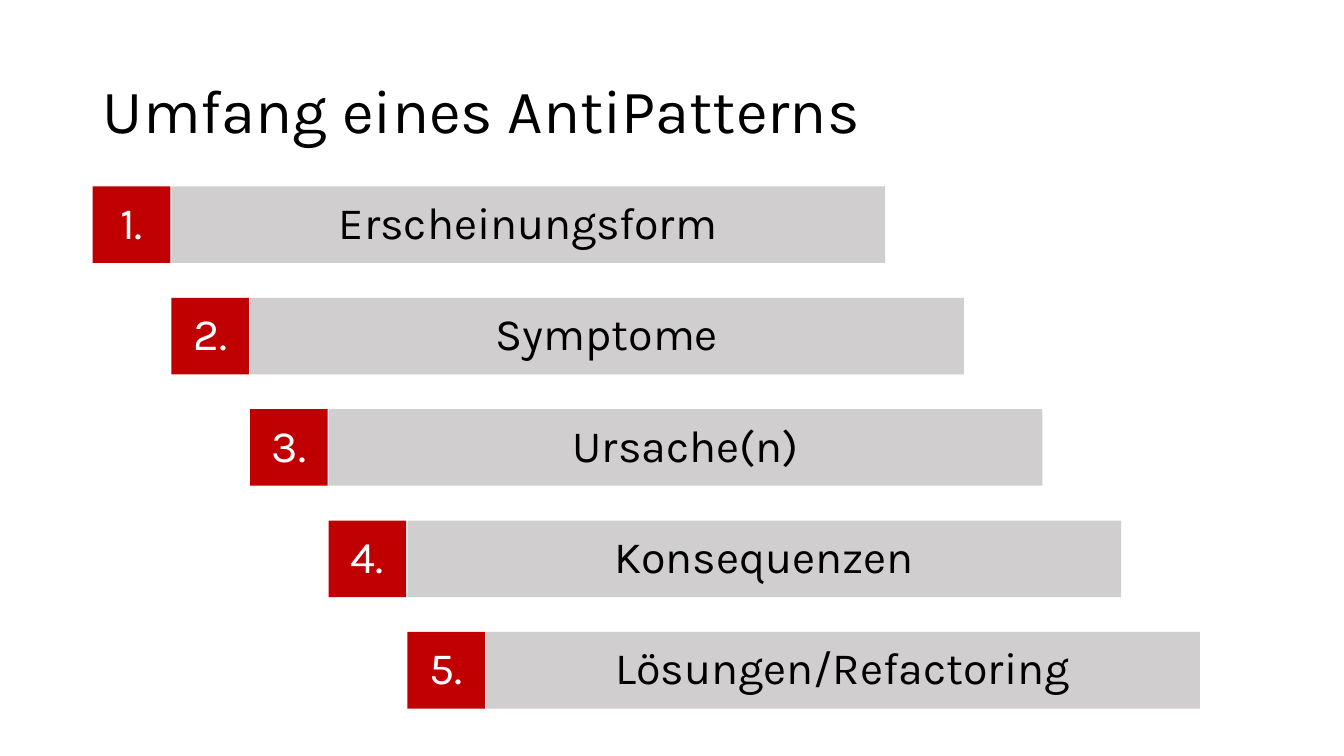
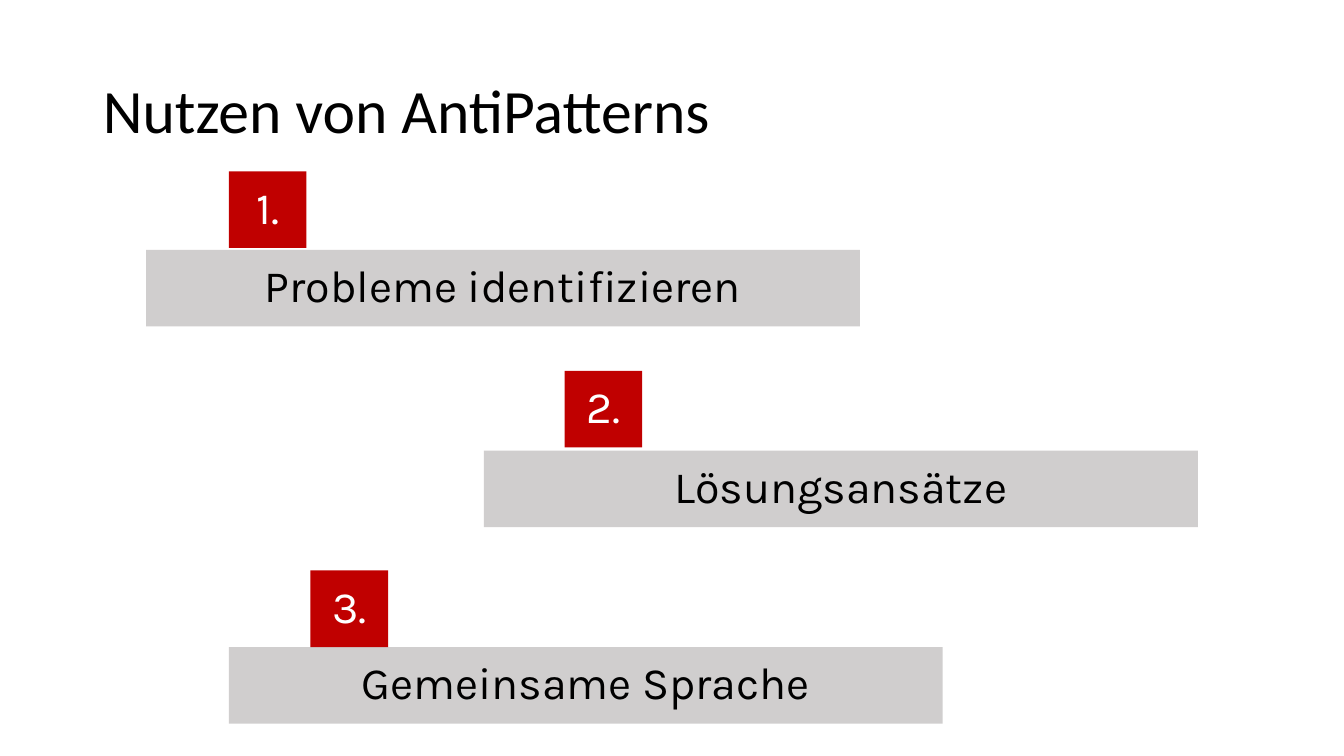
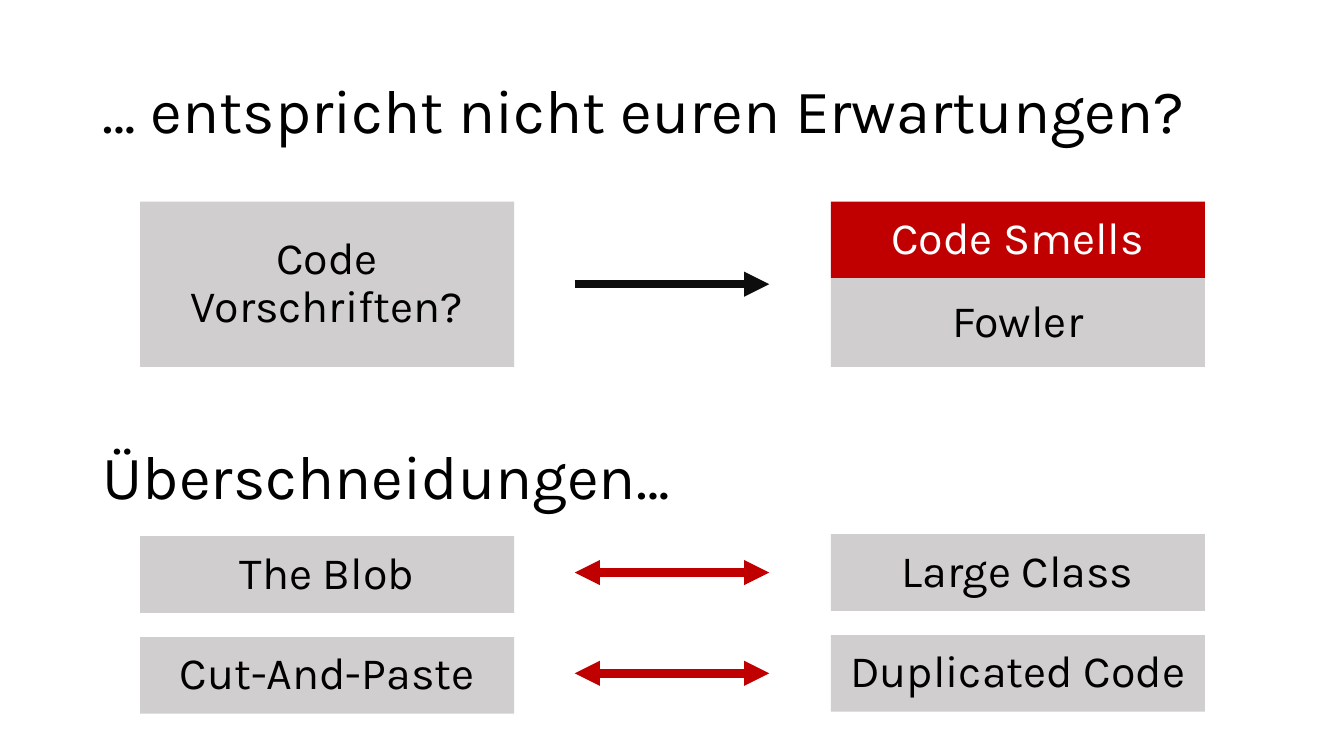
from dataclasses import dataclass

from lxml import etree
from pptx import Presentation
from pptx.dml.color import RGBColor
from pptx.enum.shapes import MSO_CONNECTOR, MSO_SHAPE
from pptx.enum.text import MSO_ANCHOR, MSO_AUTO_SIZE, PP_ALIGN
from pptx.oxml.ns import qn
from pptx.util import Inches, Pt

RECTANGLE = MSO_SHAPE.RECTANGLE
STRAIGHT = MSO_CONNECTOR.STRAIGHT
LEFT, CENTER = PP_ALIGN.LEFT, PP_ALIGN.CENTER
TOP, MIDDLE = MSO_ANCHOR.TOP, MSO_ANCHOR.MIDDLE
NO_AUTOFIT = MSO_AUTO_SIZE.NONE
TITLE_ONLY = 5

SLIDE_WIDTH, SLIDE_HEIGHT = 13.33, 7.5
MARGIN = 0.92
BLACK, NEAR_BLACK, WHITE = "000000", "0D0D0D", "FFFFFF"
RED, GREY = "C00000", "D0CECE"
BODY_FONT, PLAIN_FONT = "Karla", "Calibri"
HEADING_SIZE, LABEL_SIZE = 44, 32

BAR_WIDTH, BAR_HEIGHT = 7.08, 0.76
BADGE_WIDTH = 0.77
STEP_COLUMN, STEP_ROW, STEP_TOP = 0.78, 1.105, 1.85

CARD_WIDTH = 3.71
CARD_COLUMNS = (1.39, 8.24)
ARROW_START, ARROW_END = 5.7, 7.63
CODE_TOP, CODE_HEIGHT = 2, 1.64
OVERLAP_TOP, OVERLAP_ROW = 5.32, 1
RIGHT_CARD_LIFT = 0.02


@dataclass(frozen=True)
class Box:
    left: float
    top: float
    width: float
    height: float

    def lengths(self):
        return [Inches(value) for value in (self.left, self.top, self.width, self.height)]


@dataclass(frozen=True)
class Benefit:
    text: str
    bar_left: float
    bar_top: float
    badge_left: float
    badge_top: float


TITLE_BOX = Box(MARGIN, 0.4, 11.5, 1.45)
SUBHEADING_BOX = Box(MARGIN, 4.3, 8.11, 0.84)

SCOPE_STEPS = ("Erscheinungsform", "Symptome", "Ursache(n)", "Konsequenzen", "Lösungen/Refactoring")
BENEFITS = (
    Benefit("Probleme identifizieren", 1.45, 2.48, 2.27, 1.7),
    Benefit("Lösungsansätze", 4.8, 4.47, 5.6, 3.68),
    Benefit("Gemeinsame Sprache", 2.27, 6.42, 3.08, 5.66),
)
OVERLAPS = (("The Blob", "Large Class"), ("Cut-And-Paste", "Duplicated Code"))


def color(value: str) -> RGBColor:
    return RGBColor.from_string(value)


def write_text(shape, text: str, size: int, text_color: str = BLACK, font: str = BODY_FONT,
               alignment=LEFT, anchor=MIDDLE, line_spacing: float = 0.9, space_before: int = 0) -> None:
    frame = shape.text_frame
    frame.word_wrap = True
    frame.auto_size = NO_AUTOFIT
    frame.vertical_anchor = anchor
    paragraph = frame.paragraphs[0]
    paragraph.alignment = alignment
    paragraph.line_spacing = line_spacing
    paragraph.space_before = Pt(space_before)
    run = paragraph.add_run()
    run.text = text
    run.font.name = font
    run.font.size = Pt(size)
    run.font.color.rgb = color(text_color)


def add_titled_slide(presentation, text: str, font: str = BODY_FONT):
    slide = presentation.slides.add_slide(presentation.slide_layouts[TITLE_ONLY])
    title = slide.shapes.title
    title.left, title.top, title.width, title.height = TITLE_BOX.lengths()
    write_text(title, text, HEADING_SIZE, font=font)
    return slide


def add_label(slide, box: Box, text: str, fill: str = GREY) -> None:
    shape = slide.shapes.add_shape(RECTANGLE, *box.lengths())
    shape.shadow.inherit = False
    shape.fill.solid()
    shape.fill.fore_color.rgb = color(fill)
    shape.line.fill.background()
    text_color = WHITE if fill == RED else BLACK
    write_text(shape, text, LABEL_SIZE, text_color, alignment=CENTER, space_before=10)


def add_bar(slide, left: float, top: float, text: str) -> None:
    add_label(slide, Box(left, top, BAR_WIDTH, BAR_HEIGHT), text)


def add_badge(slide, left: float, top: float, number: int) -> None:
    add_label(slide, Box(left, top, BADGE_WIDTH, BAR_HEIGHT), f"{number}.", RED)


def add_arrow(slide, height: float, line_color: str, ends: tuple[str, ...]) -> None:
    arrow = slide.shapes.add_connector(
        STRAIGHT, Inches(ARROW_START), Inches(height), Inches(ARROW_END), Inches(height))
    arrow.line.color.rgb = color(line_color)
    arrow.line.width = Pt(6)
    properties = arrow.line._get_or_add_ln()
    for end in ends:
        etree.SubElement(properties, qn(end), type="triangle")
    etree.SubElement(arrow._element.spPr, qn("a:effectLst"))


def build_scope(presentation) -> None:
    slide = add_titled_slide(presentation, "Umfang eines AntiPatterns")
    for index, text in enumerate(SCOPE_STEPS):
        left = MARGIN + index * STEP_COLUMN
        top = STEP_TOP + index * STEP_ROW
        add_bar(slide, left + STEP_COLUMN, top, text)
        add_badge(slide, left, top, index + 1)


def build_benefits(presentation) -> None:
    slide = add_titled_slide(presentation, "Nutzen von AntiPatterns", PLAIN_FONT)
    for number, benefit in enumerate(BENEFITS, start=1):
        add_bar(slide, benefit.bar_left, benefit.bar_top, benefit.text)
        add_badge(slide, benefit.badge_left, benefit.badge_top, number)


def build_expectations(presentation) -> None:
    slide = add_titled_slide(presentation, "… entspricht nicht euren Erwartungen?")
    left, right = CARD_COLUMNS
    add_label(slide, Box(left, CODE_TOP, CARD_WIDTH, CODE_HEIGHT), "Code Vorschriften?")
    add_arrow(slide, CODE_TOP + CODE_HEIGHT / 2, NEAR_BLACK, ("a:tailEnd",))
    add_label(slide, Box(right, CODE_TOP, CARD_WIDTH, BAR_HEIGHT), "Code Smells", RED)
    add_label(slide, Box(right, CODE_TOP + BAR_HEIGHT, CARD_WIDTH, CODE_HEIGHT - BAR_HEIGHT), "Fowler")

    subheading = slide.shapes.add_textbox(*SUBHEADING_BOX.lengths())
    write_text(subheading, "Überschneidungen…", HEADING_SIZE, anchor=TOP, line_spacing=1.0)

    for row, (antipattern, smell) in enumerate(OVERLAPS):
        top = OVERLAP_TOP + row * OVERLAP_ROW
        right_top = top - RIGHT_CARD_LIFT
        add_label(slide, Box(left, top, CARD_WIDTH, BAR_HEIGHT), antipattern)
        add_arrow(slide, right_top + BAR_HEIGHT / 2, RED, ("a:headEnd", "a:tailEnd"))
        add_label(slide, Box(right, right_top, CARD_WIDTH, BAR_HEIGHT), smell)


def main() -> None:
    presentation = Presentation()
    presentation.slide_width = Inches(SLIDE_WIDTH)
    presentation.slide_height = Inches(SLIDE_HEIGHT)
    build_scope(presentation)
    build_benefits(presentation)
    build_expectations(presentation)
    presentation.save("out.pptx")


if __name__ == "__main__":
    main()
